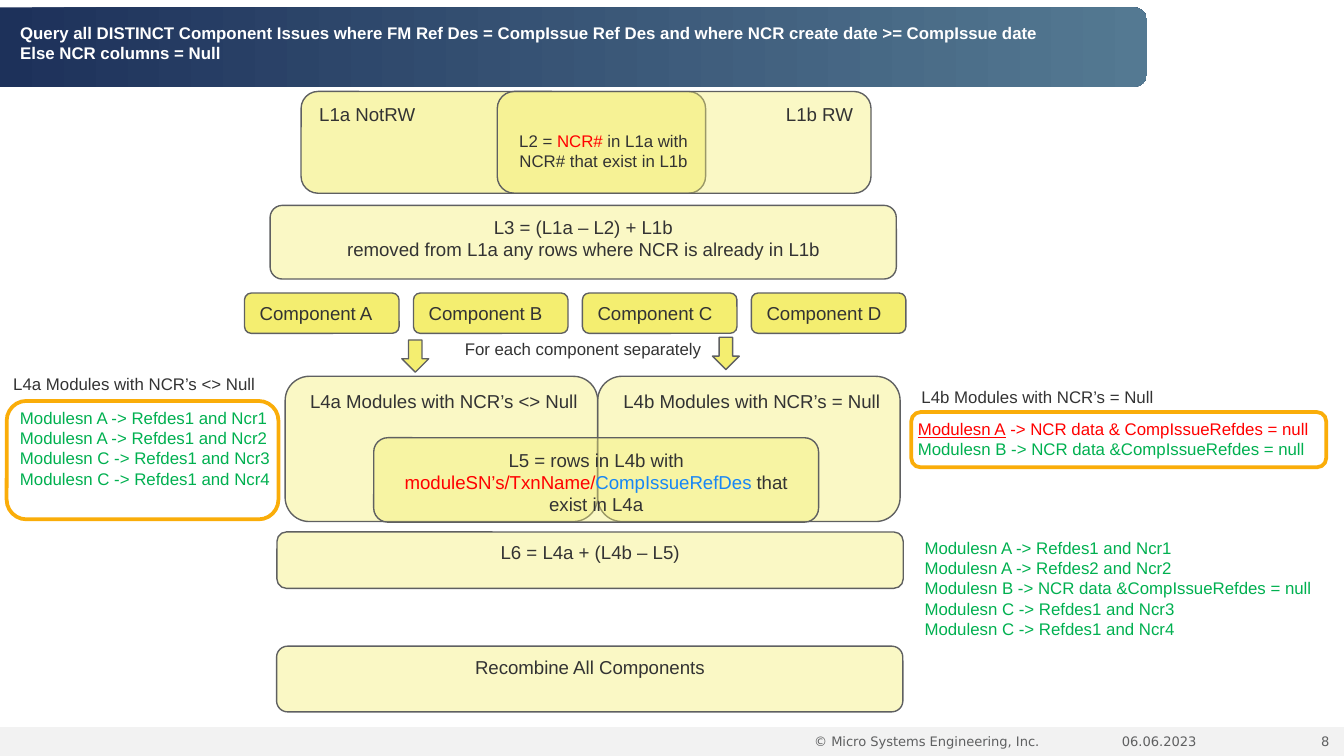
import dataclasses

import pptx
import pptx.dml.color
import pptx.enum.shapes
import pptx.enum.text
import pptx.oxml.ns
import pptx.util
from lxml import etree

Pt = pptx.util.Pt
SHAPE = pptx.enum.shapes.MSO_SHAPE
ALIGN = pptx.enum.text.PP_ALIGN


@dataclasses.dataclass(frozen=True)
class Theme:
    """Colours, fonts and type sizes of the slide."""
    navy: str = "1D315A"
    steel: str = "547992"
    white: str = "FFFFFF"
    band: str = "F2F2F2"
    yellow: str = "F4EE70"
    orange: str = "FAAD09"
    grey: str = "5F6061"
    ink: str = "333333"
    red: str = "FF0000"
    green: str = "00B050"
    blue: str = "1786F6"
    font: str = "Arial"
    footer_font: str = "DejaVu Sans"
    label: float = 10
    note: float = 9
    footer: float = 7


@dataclasses.dataclass(frozen=True)
class Box:
    """A rectangle in points."""
    left: float
    top: float
    width: float
    height: float

    def inner(self, left, top, width, height):
        """Return a box placed relative to this one."""
        return Box(self.left + left, self.top + top, width, height)

    def lengths(self):
        """Return the four lengths for python-pptx."""
        return [Pt(v) for v in (self.left, self.top, self.width, self.height)]


THEME = Theme()


def rgb(code):
    """Turn a hex code into a colour."""
    return pptx.dml.color.RGBColor.from_string(code)


def write(holder, lines, size=THEME.note, color=THEME.ink, font=THEME.font,
          bold=False, align=ALIGN.LEFT, wrap=True):
    """Write lines, each a string or a list of (text, colour, underline) spans."""
    frame = holder.text_frame
    frame.word_wrap = wrap
    frame.vertical_anchor = pptx.enum.text.MSO_ANCHOR.TOP
    if not wrap:
        frame.auto_size = pptx.enum.text.MSO_AUTO_SIZE.SHAPE_TO_FIT_TEXT
    for index, line in enumerate(lines):
        para = frame.paragraphs[0] if index == 0 else frame.add_paragraph()
        para.alignment = align
        spans = [(line, color, False)] if isinstance(line, str) else line
        for text, shade, underline in spans:
            span = para.add_run()
            span.text = text
            span.font.size = Pt(size)
            span.font.name = font
            span.font.bold = bold
            span.font.underline = underline or None
            span.font.color.rgb = rgb(shade)


def add_text(page, box, lines, **style):
    """Add a text box."""
    write(page.shapes.add_textbox(*box.lengths()), lines, **style)


def add_block(page, box, kind=SHAPE.ROUNDED_RECTANGLE, fill=THEME.yellow,
              alpha=None, line=THEME.grey, weight=0.75, lines=(), **style):
    """Add a preset shape with optional text."""
    shape = page.shapes.add_shape(kind, *box.lengths())
    shape.shadow.inherit = False
    if fill:
        shape.fill.solid()
        shape.fill.fore_color.rgb = rgb(fill)
    else:
        shape.fill.background()
    if alpha:
        color = shape.fill._xPr.find(".//" + pptx.oxml.ns.qn("a:srgbClr"))
        etree.SubElement(color, pptx.oxml.ns.qn("a:alpha"), val=str(alpha * 1000))
    if line:
        shape.line.color.rgb = rgb(line)
        shape.line.width = Pt(weight)
    else:
        shape.line.fill.background()
    write(shape, lines, size=THEME.label, **style)
    return shape


def add_header(page, box):
    """Place the gradient banner and the title."""
    turned = box.inner((box.width - box.height) / 2, (box.height - box.width) / 2,
                       box.height, box.width)
    banner = add_block(page, turned, SHAPE.ROUND_2_SAME_RECTANGLE, line=None)
    banner.rotation = 90
    banner.fill.gradient()
    banner.fill.gradient_angle = 90
    for stop, color in zip(banner.fill.gradient_stops, (THEME.navy, THEME.steel)):
        stop.color.rgb = rgb(color)
    title = page.shapes.title
    page.shapes.element.append(title.element)
    title.left, title.top, title.width, title.height = box.inner(3.6, 4.6, 563.8, 28.8).lengths()
    write(title, ["Query all DISTINCT Component Issues where FM Ref Des = CompIssue Ref Des "
                  "and where NCR create date >= CompIssue date",
                  "Else NCR columns = Null"], color=THEME.white, bold=True, wrap=False)


def add_sources(page, box):
    """Place the overlapping L1a and L1b sets with L2."""
    add_block(page, box.inner(0, 0, 216.7, box.height), alpha=56, lines=["L1a NotRW"])
    add_block(page, box.inner(105.1, 0, 200.2, box.height), alpha=40,
              lines=["L1b RW"], align=ALIGN.RIGHT)
    add_text(page, box.inner(101.5, 17.3, 121, 28.8),
             [[("L2 = ", THEME.ink, False), ("NCR#", THEME.red, False),
               (" in L1a with NCR# that exist in L1b", THEME.ink, False)]],
             align=ALIGN.CENTER)


def add_step(page, box, lines):
    """Place one full-width step."""
    add_block(page, box, alpha=40, lines=lines, align=ALIGN.CENTER)


def add_components(page, box):
    """Place the row of components with the arrows below."""
    width = 82.8
    pitch = (box.width - width) / 3
    for index, letter in enumerate("ABCD"):
        add_block(page, box.inner(index * pitch, 0, width, 21.6),
                  lines=[f"Component {letter}"])
    for left, top in ((82.8, 26.6), (249.2, 25.2)):
        arrow = add_block(page, box.inner(left, top, 17.3, 14.4), SHAPE.RIGHT_ARROW)
        arrow.rotation = 90
    add_text(page, box.inner(110.9, 20.9, 142.6, 18),
             ["For each component separately"], wrap=False)


def add_modules(page, box):
    """Place the L4a and L4b sets with L5 across them."""
    for left, width, label in ((0, 167.4, "L4a Modules with NCR’s <> Null"),
                               (167.4, 162, "L4b Modules with NCR’s = Null")):
        add_block(page, box.inner(left, 0, width, box.height), alpha=40,
                  lines=[label], align=ALIGN.RIGHT)
    add_step(page, box.inner(47.4, 32.9, 238.3, 45.2),
             [[("L5 = rows in L4b with ", THEME.ink, False),
               ("moduleSN’s/TxnName/", THEME.red, False),
               ("CompIssueRefDes ", THEME.blue, False),
               ("that exist in L4a", THEME.ink, False)]])


def add_example(page, box, caption, caption_box, lines, text_box, wrap):
    """Place an outlined list of example rows with its caption."""
    add_text(page, box.inner(*caption_box), [caption], wrap=False)
    add_block(page, box, fill=None, line=THEME.orange, weight=2)
    add_text(page, box.inner(*text_box), lines, color=THEME.green, wrap=wrap)


def add_footer(page, box):
    """Place the footer band with owner, date and number."""
    add_block(page, box, SHAPE.RECTANGLE, fill=THEME.band, line=None)
    for left, width, text in ((378, 185.8, "© Micro Systems Engineering, Inc."),
                              (563.8, 84.2, "06.06.2023"), (683.3, 36, "8")):
        add_text(page, box.inner(left, 0, width, 13.7), [text], size=THEME.footer,
                 color=THEME.grey, font=THEME.footer_font, align=ALIGN.RIGHT)


def main():
    """Build the slide and save the deck."""
    deck = pptx.Presentation()
    deck.slide_width, deck.slide_height = Pt(720), Pt(405)
    page = deck.slides.add_slide(deck.slide_layouts[5])
    add_footer(page, Box(0, 389.5, 720, 15.5))
    add_header(page, Box(0, 4, 614.5, 42.5))
    add_sources(page, Box(161.3, 49, 305.3, 54.5))
    add_step(page, Box(144.7, 110, 335.5, 39.5),
             ["L3 = (L1a – L2) + L1b", "removed from L1a any rows where NCR is already in L1b"])
    add_components(page, Box(131, 157, 354.3, 41))
    add_modules(page, Box(152.8, 201.6, 329.4, 77.8))
    add_step(page, Box(148.4, 285, 335.5, 30.2), ["L6 = L4a + (L4b – L5)"])
    add_step(page, Box(148.2, 346.2, 335.5, 35.2), ["Recombine All Components"])
    add_example(page, Box(3.6, 214.8, 145.6, 63.4),
                "L4a Modules with NCR’s <> Null", (-3.6, -18.2, 145.4, 18),
                [f"Modulesn {module} -> Refdes1 and Ncr{number}"
                 for number, module in enumerate("AACC", 1)], (0, 0, 181.4, 72.7), True)
    add_example(page, Box(488.2, 220.8, 222.3, 29.6),
                "L4b Modules with NCR’s = Null", (-1.6, -17, 139.7, 18),
                [[("Modulesn A", THEME.red, True),
                  (" -> NCR data & CompIssueRefdes = null", THEME.red, False)],
                 "Modulesn B -> NCR data &CompIssueRefdes = null"],
                (-3.6, 0, 229, 28.8), False)
    add_text(page, Box(488.2, 284.5, 222.5, 83.5),
             ["Modulesn A -> Refdes1 and Ncr1", "Modulesn A -> Refdes2 and Ncr2",
              "Modulesn B -> NCR data &CompIssueRefdes = null",
              "Modulesn C -> Refdes1 and Ncr3", "Modulesn C -> Refdes1 and Ncr4"],
             color=THEME.green)
    deck.save("out.pptx")


if __name__ == "__main__":
    main()
